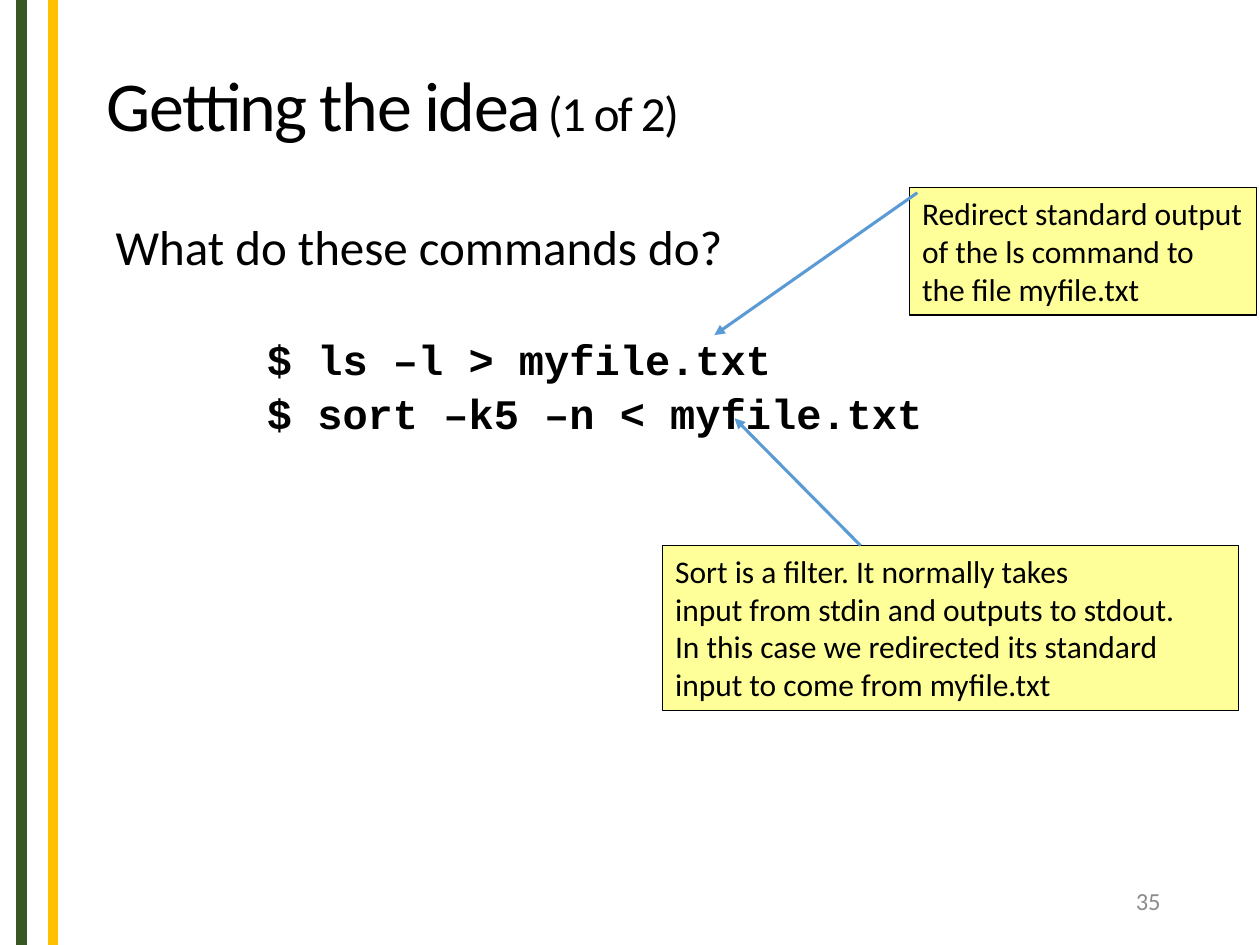
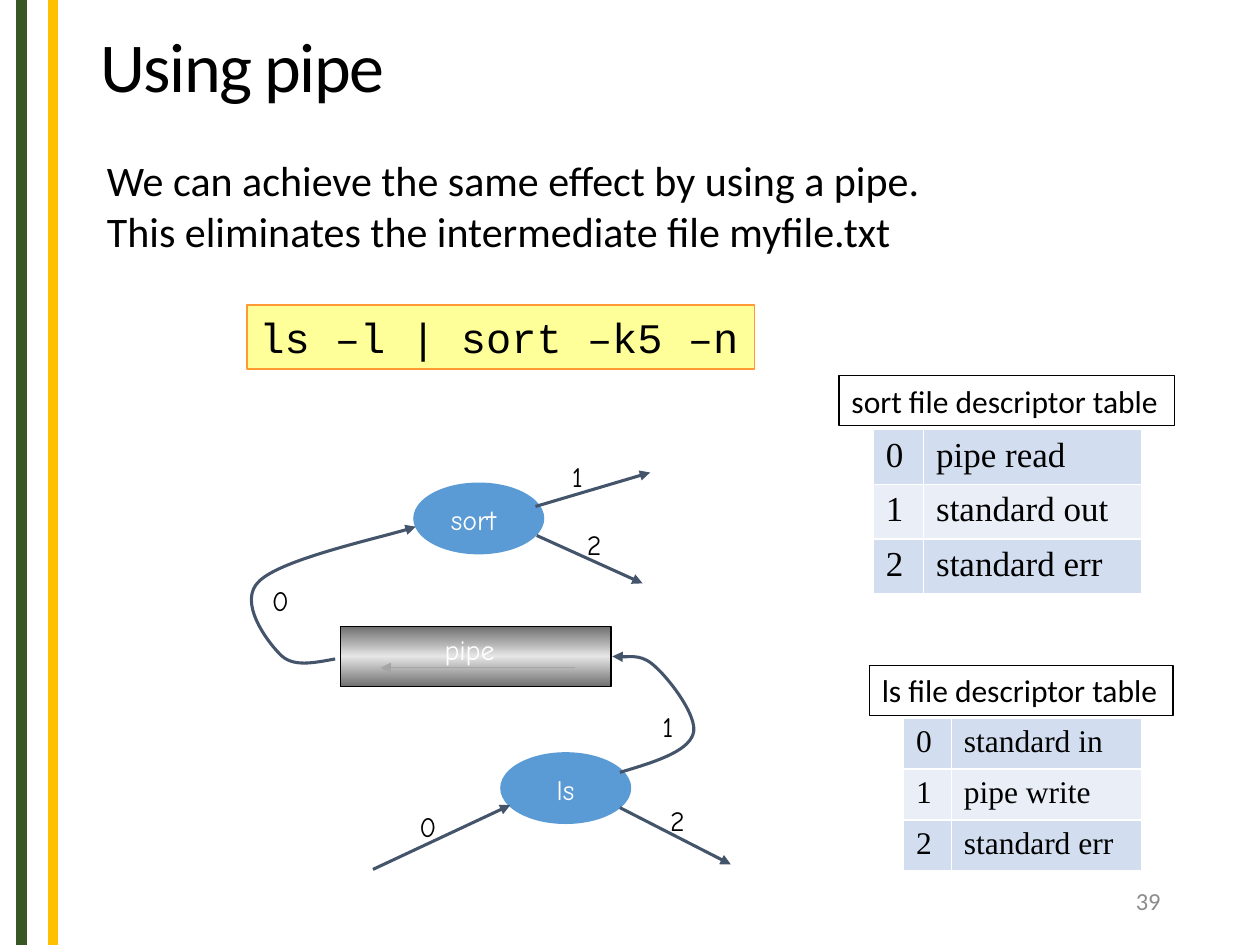
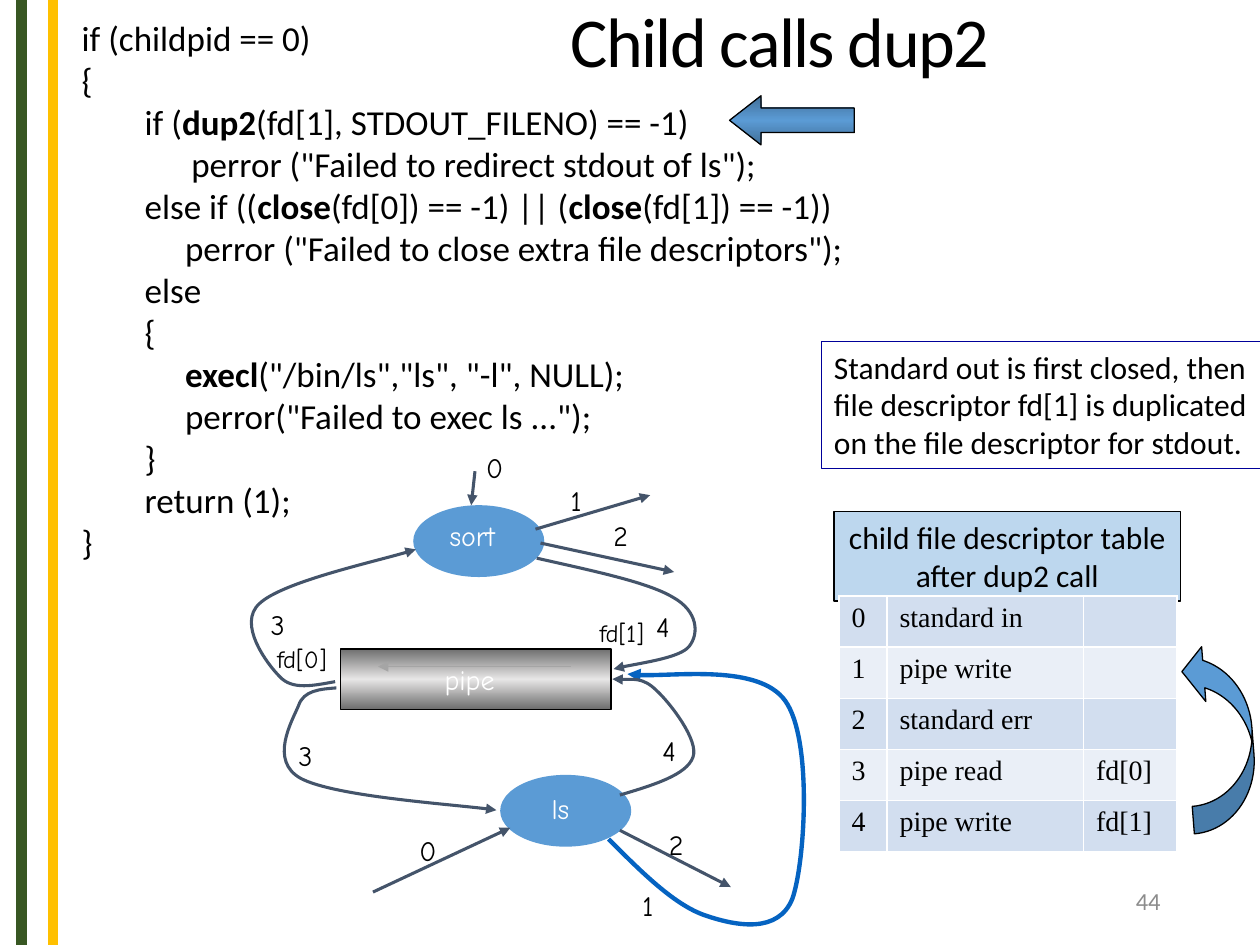
from lxml.etree import SubElement
from pptx import Presentation
from pptx.dml.color import RGBColor
from pptx.enum.shapes import MSO_CONNECTOR, MSO_SHAPE
from pptx.enum.text import MSO_ANCHOR, PP_ALIGN
from pptx.oxml.ns import qn
from pptx.util import Inches, Pt

theme = {
    "hue": {name: RGBColor.from_string(code) for name, code in {
        "black": "000000", "white": "FFFFFF", "green": "385723", "gold": "FFC000",
        "lemon": "FFFF99", "orange": "FF9933", "blue": "5B9BD5", "navy": "000099",
        "steel": "44546A", "royal": "0563C1", "sky": "BDD7EE", "grey": "A5A5A5",
        "dim": "8C8C8C", "dark": "D2DEEF", "light": "EAEFF7"}.items()},
    "type": {
        "title": {"name": "Calibri", "size": Pt(40)},
        "ask": {"name": "Calibri", "size": Pt(28)},
        "body": {"name": "Calibri", "size": Pt(24)},
        "code": {"name": "Calibri", "size": Pt(20)},
        "note": {"name": "Calibri", "size": Pt(18)},
        "page": {"name": "Calibri", "size": Pt(14)},
        "shell": {"name": "Courier New", "size": Pt(24)},
        "label": {"name": "Comic Neue", "size": Pt(16)},
        "small": {"name": "Comic Neue", "size": Pt(14)},
        "cell": {"name": "Times New Roman"}},
    "metal": ["6E6E6E", "E7E6E6", "6E6E6E"],
    "gloss": ["416F98", "5B9BD5", "416F98"],
}
hue, kind = theme["hue"], theme["type"]


def write(frame, text, style, tint="black", wrap=True, align=PP_ALIGN.LEFT):
    """Fill a text frame line by line; words between stars are bold."""
    frame.word_wrap = wrap
    frame.vertical_anchor = MSO_ANCHOR.TOP
    for i, line in enumerate(text.split("\n")):
        para = frame.paragraphs[0] if i == 0 else frame.add_paragraph()
        para.alignment = align
        for j, part in enumerate(line.split("*")):
            if part:
                run = para.add_run()
                run.text = part
                run.font.color.rgb = hue[tint]
                run.font.bold = j % 2 == 1
                for key, val in kind[style].items():
                    setattr(run.font, key, val)


def stroke(shape, tint, width, head=False):
    """Set a plain line without shadow, with an arrowhead if asked."""
    shape.line.color.rgb = hue[tint]
    shape.line.width = Pt(width)
    props = shape._element.spPr
    if head:
        SubElement(props.find(qn("a:ln")), qn("a:tailEnd"), type="triangle")
    if props.find(qn("a:effectLst")) is None:
        SubElement(props, qn("a:effectLst"))


prs = Presentation()
prs.slide_width, prs.slide_height = Inches(10), Inches(7.5)

# Bands, title and page number of every slide
decks = []
for title, num, spot in [
        ("Getting the idea\t*(1 of 2)*", "35", (0.75, 0.25, 8, 1.25)),
        ("Using pipe", "39", (0.7, -0.02, 7.1, 1.17)),
        ("Child calls dup2", "44", (4.43, -0.26, 4.91, 1.25))]:
    slide = prs.slides.add_slide(prs.slide_layouts[6])
    decks.append(slide.shapes)
    for x, tint in [(0.17, "green"), (0.42, "gold")]:
        band = slide.shapes.add_connector(
            MSO_CONNECTOR.STRAIGHT, Inches(x), 0, Inches(x), Inches(7.5))
        stroke(band, tint, 6)
    head = slide.shapes.add_textbox(*map(Inches, spot)).text_frame
    write(head, title, "title")
    head.vertical_anchor = MSO_ANCHOR.MIDDLE
    head.paragraphs[0].line_spacing = 0.85
    for run in head.paragraphs[0].runs:
        run.font._element.set("spc", "-90")
        if run.font.bold:
            run.font.bold, run.font.size = False, Pt(28)
    foot = slide.shapes.add_textbox(*map(Inches, (7.06, 6.95, 2.25, 0.4))).text_frame
    write(foot, num, "page", "dim", align=PP_ALIGN.RIGHT)
    foot.vertical_anchor = MSO_ANCHOR.MIDDLE
idea, pipe, child = decks

# Body text, with the left indent of each line
ask = idea.add_textbox(*map(Inches, (0.82, 1.67, 7.6, 1.78))).text_frame
write(ask, "What do these commands do?\n*$ ls –l > myfile.txt*\n*$ sort –k5 –n < myfile.txt*",
      "shell")
for key, val in kind["ask"].items():
    setattr(ask.paragraphs[0].runs[0].font, key, val)
for para, gap in zip(ask.paragraphs[1:], (33, 2)):
    para.space_before = Pt(gap)

body = pipe.add_textbox(*map(Inches, (0.75, 1.18, 6.72, 0.91))).text_frame
write(body, "We can achieve the same effect by using a pipe.\n"
      "This eliminates the intermediate file myfile.txt", "body", wrap=False)

code = child.add_textbox(*map(Inches, (0.05, 0.08, 6.91, 4.88))).text_frame
write(code, """if (childpid == 0)
{
if (*dup2*(fd[1], STDOUT_FILENO) == -1)
perror ("Failed to redirect stdout of ls");
else if ((*close*(fd[0]) == -1) || (*close*(fd[1]) == -1))
perror ("Failed to close extra file descriptors");
else
{
*execl*("/bin/ls","ls", "-l", NULL);
perror("Failed to exec ls ...");
}
return (1);
}""", "code")

for frame, steps in [
        (ask, (0, 1.2, 1.2)),
        (code, (0.5, 0.5, 1, 1.37, 1, 1.32, 1, 1, 1.32, 1.32, 1, 1, 0.5))]:
    for para, step in zip(frame.paragraphs, steps):
        para._p.get_or_add_pPr().set("marL", str(Inches(step)))
        para._p.get_or_add_pPr().set("indent", "0")

# Boxed notes and captions
left, mid = PP_ALIGN.LEFT, PP_ALIGN.CENTER
for deck, spot, fill, edge, style, wrap, align, text in [
        (idea, (7.22, 1.49, 2.75, 1.01), "lemon", "black", "note", True, left,
         "Redirect standard output of the ls command to the file myfile.txt"),
        (idea, (5.26, 4.33, 4.57, 1.31), "lemon", "black", "note", True, left,
         "Sort is a filter. It normally takes\ninput from stdin and outputs to stdout.\n"
         "In this case we redirected its standard\ninput to come from myfile.txt"),
        (pipe, (1.96, 2.42, 4.03, 0.51), "lemon", "orange", "shell", False, left,
         "ls –l | sort –k5 –n"),
        (pipe, (6.66, 2.98, 2.66, 0.4), None, "black", "note", False, left,
         "sort file descriptor table"),
        (pipe, (6.9, 5.28, 2.41, 0.4), None, "black", "note", False, left,
         "ls file descriptor table"),
        (child, (6.62, 4.06, 2.75, 0.71), "sky", "black", "note", False, mid,
         "child file descriptor table\nafter dup2 call"),
        (child, (6.52, 2.71, 3.52, 1.01), None, "navy", "note", False, left,
         "Standard out is first closed, then\nfile descriptor fd[1] is duplicated\n"
         "on the file descriptor for stdout.")]:
    box = deck.add_shape(MSO_SHAPE.RECTANGLE, *map(Inches, spot))
    box.shadow.inherit = False
    if fill:
        box.fill.solid()
        box.fill.fore_color.rgb = hue[fill]
    else:
        box.fill.background()
    stroke(box, edge, 0.75)
    write(box.text_frame, text, style, wrap=wrap, align=align)

# Processes of the pipe diagram, lower by a fixed drop on the last slide
drops = [(pipe, 0), (child, 0.18)]
for deck, drop in drops:
    for x, y in [(3.97, 5.97), (3.28, 3.83)]:
        node = deck.add_shape(MSO_SHAPE.OVAL, *map(Inches, (x, y + drop, 1.04, 0.57)))
        node.shadow.inherit = False
        node.fill.solid()
        node.fill.fore_color.rgb = hue["blue"]
        node.line.fill.background()

# Shaded shapes: both pipes and the block arrow
shades = [(deck, MSO_SHAPE.RECTANGLE, (2.7, 4.97 + drop, 2.15, 0.48), "metal")
          for deck, drop in drops]
shades.append((child, MSO_SHAPE.LEFT_ARROW, (5.79, 0.76, 0.99, 0.39), "gloss"))
for deck, form, spot, ramp in shades:
    shape = deck.add_shape(form, *map(Inches, spot))
    shape.shadow.inherit = False
    shape.fill.gradient()
    shape.fill.gradient_angle = 90
    stops = shape._element.spPr.find(qn("a:gradFill")).find(qn("a:gsLst"))
    for stop in list(stops):
        stops.remove(stop)
    for i, tone in enumerate(theme[ramp]):
        stop = SubElement(stops, qn("a:gs"), pos=str(i * 50000))
        SubElement(stop, qn("a:srgbClr"), val=tone)
    stroke(shape, "black", 0.75)
shape.adjustments[1] = 0.64

# Curved block arrow beside the table
turn = child.add_shape(MSO_SHAPE.CURVED_LEFT_ARROW, *map(Inches, (9.42, 5.09, 0.52, 1.51)))
turn.shadow.inherit = False
turn.fill.solid()
turn.fill.fore_color.rgb = hue["blue"]
stroke(turn, "black", 0.75)
for i, size in enumerate((0.42, 0.84, 0.33)):
    turn.adjustments[i] = size
turn.rotation = 175.6
turn._element.spPr.find(qn("a:xfrm")).set("flipH", "1")

# Straight arrows
links = [
    (idea, "blue", 1.75, (6.83, 4.33, 5.83, 3.32)),
    (idea, "blue", 1.75, (7.28, 1.53, 5.67, 2.66)),
    (pipe, "steel", 1.75, (4.26, 4.25, 5.1, 4.63)),
    (child, "steel", 1.75, (4.29, 4.31, 5.35, 4.54)),
    (child, "steel", 1.75, (3.77, 3.74, 3.74, 4.01)),
    (pipe, "grey", 0.75, (4.56, 5.3, 3.02, 5.3)),
    (child, "grey", 0.75, (4.53, 5.29, 3, 5.29))]
for deck, drop in drops:
    for x, y, u, v in [(2.96, 6.9, 4.05, 6.39), (4.92, 6.41, 5.8, 6.86),
                       (4.25, 4.02, 5.16, 3.75)]:
        links.append((deck, "steel", 1.75, (x, y + drop, u, v + drop)))
for deck, tint, width, ends in links:
    link = deck.add_connector(MSO_CONNECTOR.STRAIGHT, *map(Inches, ends))
    stroke(link, tint, width, True)

# Curved arrows: a start, then three points for each Bezier segment
bends = [
    (child, 0, "steel", 1.75, [
        (2.67, 5.46), (2.54, 5.47), (2.41, 5.48), (2.37, 5.6), (2.32, 5.72),
        (2.13, 6.04), (2.39, 6.18), (2.66, 6.32), (3.68, 6.39), (3.94, 6.43)]),
    (child, 0, "steel", 1.75, [
        (4.26, 4.43), (4.7, 4.53), (5.14, 4.62), (5.34, 4.74), (5.54, 4.85),
        (5.55, 5.03), (5.47, 5.13), (5.4, 5.22), (4.97, 5.28), (4.87, 5.31)]),
    (child, 0, "royal", 2.5, [
        (4.83, 6.66), (5.1, 6.93), (5.36, 7.19), (5.61, 7.27), (5.85, 7.35),
        (6.18, 7.41), (6.29, 7.13), (6.39, 6.84), (6.45, 5.86), (6.23, 5.56),
        (6.02, 5.27), (5.19, 5.39), (4.98, 5.35)])]
for deck, drop in drops:
    bends += [
        (deck, drop, "steel", 1.75, [
            (4.92, 6.13), (5.19, 6.05), (5.45, 5.97), (5.5, 5.83), (5.55, 5.7),
            (5.32, 5.4), (5.21, 5.3), (5.1, 5.19), (4.92, 5.22), (4.86, 5.21)]),
        (deck, drop, "steel", 1.75, [
            (2.66, 5.23), (2.49, 5.26), (2.32, 5.3), (2.22, 5.19), (2.12, 5.09),
            (1.88, 4.77), (2.06, 4.61), (2.24, 4.44), (3.1, 4.25), (3.3, 4.18)])]
for deck, drop, tint, width, dots in bends:
    dots = [(Inches(x), Inches(y + drop)) for x, y in dots]
    pen = deck.build_freeform(*dots[0])
    pen.add_line_segments(dots[1:], close=False)
    bend = pen.convert_to_shape()
    bend.shadow.inherit = False
    bend.fill.background()
    stroke(bend, tint, width, True)
    track = next(bend._element.iter(qn("a:path")))
    for i, leg in enumerate(track.findall(qn("a:lnTo"))):
        if i % 3 == 0:
            curve = SubElement(track, qn("a:cubicBezTo"))
        curve.append(leg[0])
        track.remove(leg)

# Diagram labels
for deck, tint, style, tags in [
        (pipe, "white", "label", [("pipe", 3.43, 4.97, 0.62), ("ls", 4.32, 6.08, 0.37),
                                  ("sort", 3.48, 3.94, 0.64)]),
        (pipe, "black", "label", [("0", 3.23, 6.38, 0.34), ("2", 5.22, 6.33, 0.34),
                                  ("1", 5.16, 5.58, 0.3), ("0", 2.06, 4.58, 0.34),
                                  ("1", 4.44, 3.6, 0.3), ("2", 4.56, 4.14, 0.34)]),
        (child, "white", "label", [("pipe", 3.43, 5.21, 0.62), ("ls", 4.28, 6.23, 0.37),
                                   ("sort", 3.47, 4.07, 0.64)]),
        (child, "black", "label", [("0", 3.23, 6.57, 0.34), ("2", 5.21, 6.52, 0.34),
                                   ("4", 5.16, 5.77, 0.34), ("3", 2.05, 4.77, 0.34),
                                   ("1", 4.43, 3.79, 0.3), ("2", 4.77, 4.07, 0.34),
                                   ("1", 5, 7, 0.3), ("3", 2.27, 5.81, 0.34),
                                   ("0", 3.76, 3.53, 0.34), ("4", 5.11, 4.79, 0.34)]),
        (child, "black", "small", [("fd[0]", 2.1, 5.06, 0.68), ("fd[1]", 4.66, 4.86, 0.65)])]:
    for text, x, y, w in tags:
        tag = deck.add_textbox(*map(Inches, (x, y, w, 0.37)))
        write(tag.text_frame, text, style, tint, wrap=False)

# File descriptor tables
for deck, x, y, tall, size, cols, rows in [
        (pipe, 6.93, 3.41, 1.3, 20, (0.4, 1.73),
         [("0", "pipe read"), ("1", "standard out"), ("2", "standard err")]),
        (pipe, 7.17, 5.7, 1.21, 18, (0.38, 1.51),
         [("0", "standard in"), ("1", "pipe write"), ("2", "standard err")]),
        (child, 6.66, 4.73, 2.03, 16, (0.38, 1.56, 0.74),
         [("0", "standard in", ""), ("1", "pipe write", ""), ("2", "standard err", ""),
          ("3", "pipe read", "fd[0]"), ("4", "pipe write", "fd[1]")])]:
    grid = deck.add_table(len(rows), len(cols),
                          *map(Inches, (x, y, sum(cols), tall))).table
    grid.first_row = False
    for col, wide in zip(grid.columns, cols):
        col.width = Inches(wide)
    for i, row in enumerate(rows):
        for j, text in enumerate(row):
            cell = grid.cell(i, j)
            cell.fill.solid()
            cell.fill.fore_color.rgb = hue["light" if i % 2 else "dark"]
            write(cell.text_frame, text, "cell")
            cell.text_frame.paragraphs[0].font.size = Pt(size)
            for run in cell.text_frame.paragraphs[0].runs:
                run.font.size = Pt(size)

prs.save("out.pptx")
